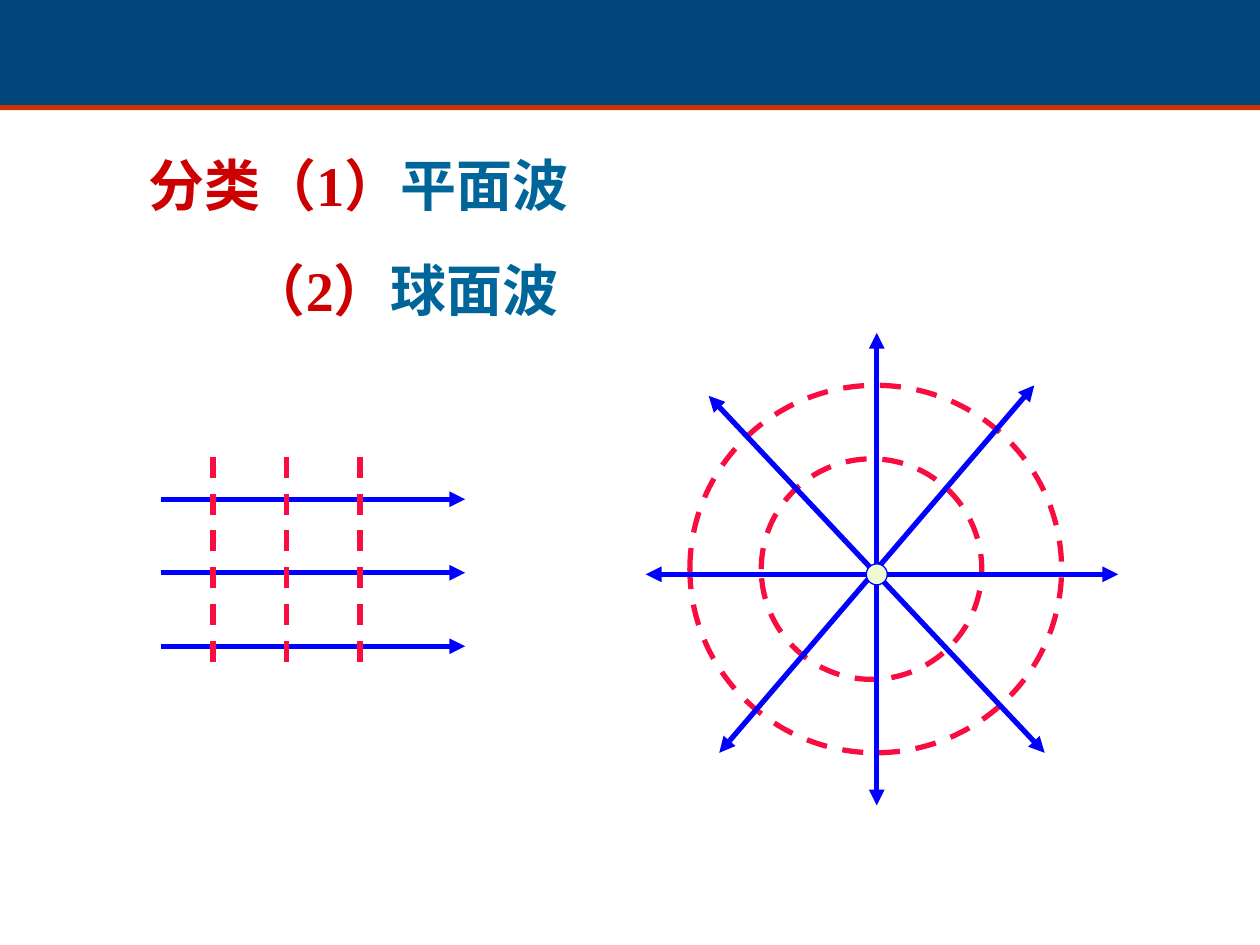
from typing import NamedTuple

from lxml import etree
from pptx import Presentation
from pptx.dml.color import RGBColor
from pptx.enum.dml import MSO_LINE
from pptx.enum.shapes import MSO_CONNECTOR, MSO_SHAPE
from pptx.enum.text import MSO_ANCHOR, MSO_AUTO_SIZE, PP_ALIGN
from pptx.oxml.ns import qn
from pptx.util import Inches, Pt

RECT, OVAL = MSO_SHAPE.RECTANGLE, MSO_SHAPE.OVAL
STRAIGHT, DASH = MSO_CONNECTOR.STRAIGHT, MSO_LINE.DASH
LEFT, TOP, FIXED = PP_ALIGN.LEFT, MSO_ANCHOR.TOP, MSO_AUTO_SIZE.NONE

COLORS = {
    "band": "00467A", "rule": "CC3300", "label": "CC0000", "name": "006699",
    "ray": "0000FF", "front": "F90D40", "source": "EDFAD2",
}
FONT = "Times New Roman"

# Grid of 120 columns by 90 rows
WIDTH, HEIGHT = Inches(10), Inches(7.5)
CELL = WIDTH / 120


class Box(NamedTuple):
    col: float
    row: float
    cols: float
    rows: float


class Path(NamedTuple):
    col: float
    row: float
    end_col: float
    end_row: float


def scale(cells: tuple) -> list[int]:
    return [round(n * CELL) for n in cells]


def color(key: str) -> RGBColor:
    return RGBColor.from_string(COLORS[key])


def draw_shape(slide, kind, box: Box, fill: str = "", edge: str = "",
               width: float = 3, dash: bool = False) -> None:
    shape = slide.shapes.add_shape(kind, *scale(box))
    shape.shadow.inherit = False
    if fill:
        shape.fill.solid()
        shape.fill.fore_color.rgb = color(fill)
    else:
        shape.fill.background()
    if edge:
        shape.line.color.rgb = color(edge)
        shape.line.width = Pt(width)
        if dash:
            shape.line.dash_style = DASH
    else:
        shape.line.fill.background()


def draw_line(slide, path: Path, key: str, ends: tuple = (),
              dash: bool = False) -> None:
    link = slide.shapes.add_connector(STRAIGHT, *scale(path))
    link.line.color.rgb = color(key)
    link.line.width = Pt(3)
    if dash:
        link.line.dash_style = DASH
    for end in ends:
        etree.SubElement(link.line._ln, qn(f"a:{end}"), type="triangle")
    etree.SubElement(link._element.spPr, qn("a:effectLst"))


def set_text(holder, box: Box, label: str, name: str) -> None:
    holder.left, holder.top, holder.width, holder.height = scale(box)
    frame = holder.text_frame
    frame.auto_size, frame.vertical_anchor = FIXED, TOP
    frame.word_wrap = True
    para = frame.paragraphs[0]
    props = para._p.get_or_add_pPr()
    props.set("marL", "0")
    props.set("indent", "0")
    etree.SubElement(props, qn("a:buNone"))
    para.alignment, para.space_before = LEFT, Pt(0)
    for text, key in ((label, "label"), (name, "name")):
        run = para.add_run()
        run.text = text
        run.font.name, run.font.size, run.font.bold = FONT, Pt(32), True
        run.font.color.rgb = color(key)


def main() -> None:
    deck = Presentation()
    deck.slide_width, deck.slide_height = WIDTH, HEIGHT
    slide = deck.slides.add_slide(deck.slide_layouts[1])

    # Header band
    draw_shape(slide, RECT, Box(0, 9.5, 120, 1), "rule")
    draw_shape(slide, RECT, Box(0, 0, 120, 10), "band")

    # Two kinds of wave
    title, body = slide.placeholders
    set_text(title, Box(12.9, 13.7, 99, 7.7), "分类（1）", "平面波")
    set_text(body, Box(22.6, 23.7, 37, 7.7), "（2）", "球面波")

    # Plane wave: parallel rays crossed by flat fronts
    gap = 7
    for i in range(3):
        row = 47.55 + i * gap
        draw_line(slide, Path(15.3, row, 44.3, row), "ray", ("tailEnd",))
    for i in range(3):
        col = 20.28 + i * gap
        draw_line(slide, Path(col, 43.5, col, 64.5), "front", dash=True)

    # Spherical wave: round fronts, rays through the source
    for box in (Box(72.5, 43.7, 21, 21), Box(65.7, 36.7, 35.4, 35)):
        draw_shape(slide, OVAL, box, edge="front", dash=True)
    rays = (
        Path(83.5, 76.7, 83.5, 31.7),
        Path(61.5, 54.7, 106.5, 54.7),
        Path(68.5, 71.7, 98.5, 36.7),
        Path(99.5, 71.7, 67.5, 37.7),
    )
    for ray in rays:
        draw_line(slide, ray, "ray", ("headEnd", "tailEnd"))
    draw_shape(slide, OVAL, Box(82.5, 53.7, 2, 2), "source", "ray", 0.75)

    deck.save("out.pptx")


if __name__ == "__main__":
    main()
